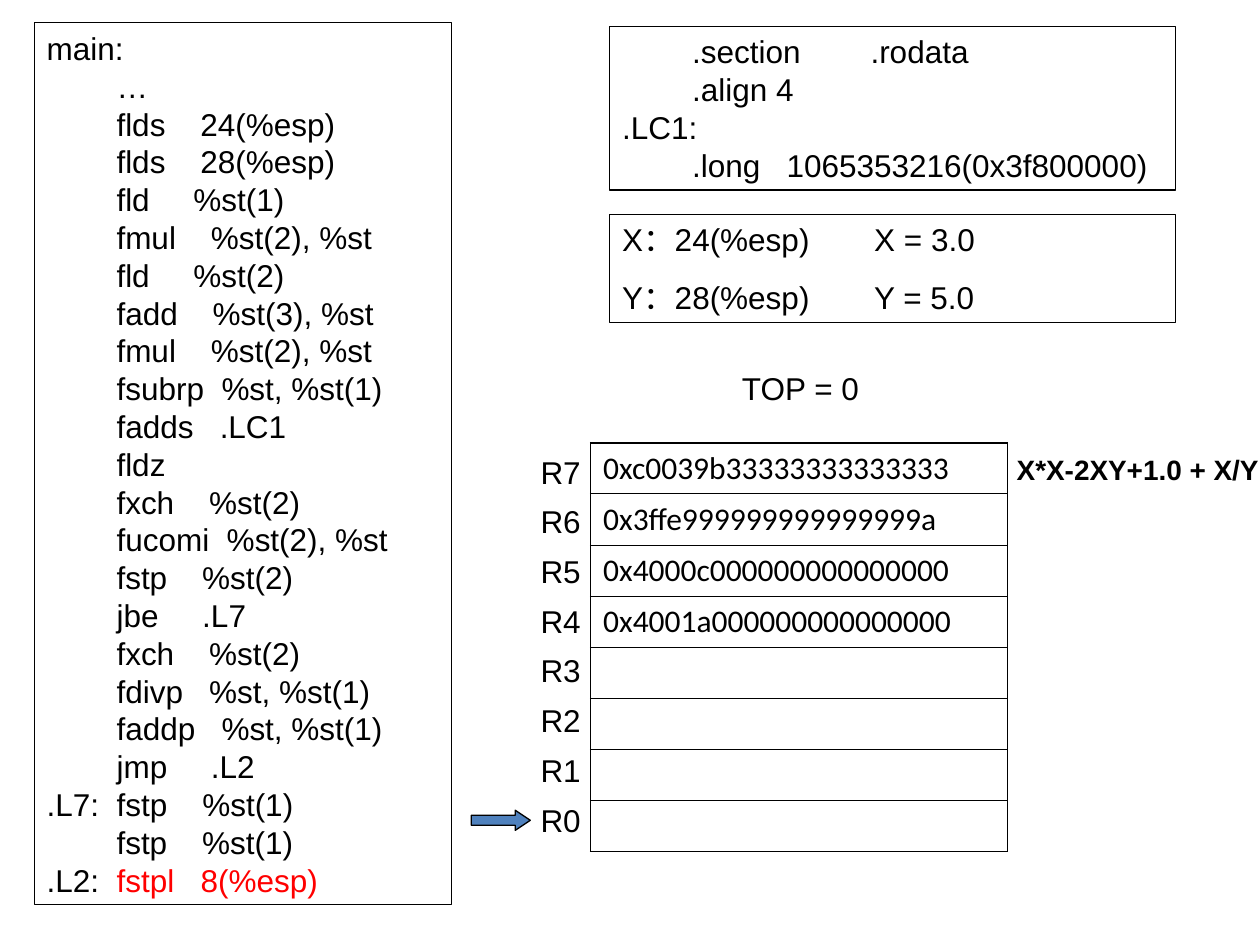
from dataclasses import dataclass

from lxml.etree import SubElement
from pptx import Presentation
from pptx.dml.color import RGBColor
from pptx.enum.shapes import MSO_SHAPE as Shape
from pptx.enum.text import MSO_ANCHOR as Anchor, PP_ALIGN as Align
from pptx.oxml.ns import qn
from pptx.util import Pt


@dataclass(frozen=True)
class Theme:
    ink: RGBColor = RGBColor(0x00, 0x00, 0x00)
    highlight: RGBColor = RGBColor(0xFF, 0x00, 0x00)
    arrow: RGBColor = RGBColor(0x4F, 0x81, 0xBD)
    font: str = "Arial"
    value_font: str = "Calibri"
    body: float = 18
    note: float = 16
    line_ratio: float = 1.2
    outline: float = 0.75
    outer_border: float = 1.08
    inner_border: float = 0.45


@dataclass(frozen=True)
class Panel:
    left: float
    top: float
    width: float
    height: float
    text: str
    highlight: str = ""
    gap: float = 0
    tab: float = 0


@dataclass(frozen=True)
class Label:
    left: float
    top: float
    width: float
    height: float
    text: str
    size: float = 18
    bold: bool = False
    inset: tuple = (0, 0)


THEME = Theme()

PROGRAM = """main:
        …
        flds    24(%esp)
        flds    28(%esp)
        fld     %st(1)
        fmul    %st(2), %st
        fld     %st(2)
        fadd    %st(3), %st
        fmul    %st(2), %st
        fsubrp  %st, %st(1)
        fadds   .LC1
        fldz
        fxch    %st(2)
        fucomi  %st(2), %st
        fstp    %st(2)
        jbe     .L7
        fxch    %st(2)
        fdivp   %st, %st(1)
        faddp   %st, %st(1)
        jmp     .L2
.L7:  fstp    %st(1)
        fstp    %st(1)
.L2:  fstpl   8(%esp)"""

CONSTANTS = """        .section        .rodata
        .align 4
.LC1:
        .long   1065353216(0x3f800000)"""

VARIABLES = "X：24(%esp)\tX = 3.0\nY：28(%esp)\tY = 5.0"

PANELS = [
    Panel(19.6, 13, 238.4, 504, PROGRAM, highlight="fstpl   8(%esp)"),
    Panel(348.5, 15, 323.2, 93.6, CONSTANTS),
    Panel(348.5, 122.4, 323.2, 62, VARIABLES, gap=11.2, tab=144),
]

# Stack registers from R7 down to R0
REGISTERS = [
    "0xc0039b33333333333333",
    "0x3ffe999999999999999a",
    "0x4000c000000000000000",
    "0x4001a000000000000000",
    "", "", "", "",
]
STACK_LEFT, STACK_TOP, STACK_WIDTH, ROW_HEIGHT = 337.5, 253, 238.3, 29
LABEL_LEFT, LABEL_TOP, LABEL_PITCH = 308.9, 258.7, 28.4


def style_font(font, size: float, name: str = THEME.font,
               color: RGBColor = THEME.ink, bold: bool = False) -> None:
    font.size, font.name, font.bold = Pt(size), name, bold
    font.color.rgb = color


def set_insets(frame, horizontal: float, vertical: float) -> None:
    frame.margin_left = frame.margin_right = Pt(horizontal)
    frame.margin_top = frame.margin_bottom = Pt(vertical)


def add_tab_stop(para, position: float) -> None:
    tabs = SubElement(para._p.get_or_add_pPr(), qn("a:tabLst"))
    SubElement(tabs, qn("a:tab"), pos=str(Pt(position)), algn="l")


def draw_panel(page, panel: Panel) -> None:
    box = page.shapes.add_shape(Shape.RECTANGLE, Pt(panel.left), Pt(panel.top),
                                Pt(panel.width), Pt(panel.height))
    box.shadow.inherit = False
    box.fill.background()
    box.line.color.rgb = THEME.ink
    box.line.width = Pt(THEME.outline)
    frame = box.text_frame
    frame.word_wrap = True
    frame.vertical_anchor = Anchor.TOP
    set_insets(frame, 7.2, 3.6)
    for index, line in enumerate(panel.text.split("\n")):
        para = frame.paragraphs[0] if index == 0 else frame.add_paragraph()
        marked = bool(panel.highlight) and line.endswith(panel.highlight)
        para.text = line.removesuffix(panel.highlight) if marked else line
        if panel.tab:
            add_tab_stop(para, panel.tab)
        para.alignment = Align.LEFT
        para.line_spacing = Pt(THEME.body * THEME.line_ratio)
        if index and panel.gap:
            para.space_before = Pt(panel.gap)
        for span in para.runs:
            style_font(span.font, THEME.body)
        if marked:
            span = para.add_run()
            span.text = panel.highlight
            style_font(span.font, THEME.body, color=THEME.highlight)


def draw_label(page, label: Label) -> None:
    box = page.shapes.add_textbox(Pt(label.left), Pt(label.top),
                                  Pt(label.width), Pt(label.height))
    frame = box.text_frame
    frame.word_wrap = False
    set_insets(frame, *label.inset)
    frame.text = label.text
    para = frame.paragraphs[0]
    para.line_spacing = Pt(label.size * THEME.line_ratio)
    style_font(para.runs[0].font, label.size, bold=label.bold)


def add_border(cell, side: str, width: float) -> None:
    line = SubElement(cell._tc.get_or_add_tcPr(), qn(f"a:{side}"), w=str(Pt(width)))
    fill = SubElement(line, qn("a:solidFill"))
    SubElement(fill, qn("a:srgbClr"), val=str(THEME.ink))


def draw_stack(page) -> None:
    count = len(REGISTERS)
    table = page.shapes.add_table(count, 1, Pt(STACK_LEFT), Pt(STACK_TOP),
                                  Pt(STACK_WIDTH), Pt(ROW_HEIGHT * count)).table
    table.first_row = table.horz_banding = False
    for index, value in enumerate(REGISTERS):
        table.rows[index].height = Pt(ROW_HEIGHT)
        cell = table.cell(index, 0)
        set_insets(cell, 7.2, 3.6)
        cell.text = value
        para = cell.text_frame.paragraphs[0]
        style_font(para.font, THEME.body, THEME.value_font)
        for span in para.runs:
            style_font(span.font, THEME.body, THEME.value_font)
        outer, inner = THEME.outer_border, THEME.inner_border
        add_border(cell, "lnL", outer)
        add_border(cell, "lnR", outer)
        add_border(cell, "lnT", outer if index == 0 else inner)
        add_border(cell, "lnB", outer if index == count - 1 else inner)
        cell.fill.background()


def draw_pointer(page) -> None:
    arrow = page.shapes.add_shape(Shape.RIGHT_ARROW, Pt(269.3), Pt(463),
                                  Pt(33.8), Pt(11.5))
    arrow.adjustments[0], arrow.adjustments[1] = 0.5, 0.75
    arrow.shadow.inherit = False
    arrow.fill.solid()
    arrow.fill.fore_color.rgb = THEME.arrow
    arrow.line.color.rgb = THEME.ink
    arrow.line.width = Pt(THEME.outline)


def main() -> None:
    deck = Presentation()
    deck.slide_width, deck.slide_height = Pt(720), Pt(540)
    page = deck.slides.add_slide(deck.slide_layouts[6])

    # Code listing, constants and variables
    for panel in PANELS:
        draw_panel(page, panel)

    # Register stack with its names
    draw_stack(page)
    for index in range(len(REGISTERS)):
        name = f"R{len(REGISTERS) - 1 - index}"
        draw_label(page, Label(LABEL_LEFT, LABEL_TOP + index * LABEL_PITCH,
                               28, 21.6, name))

    # Stack top, pointer and the expression held in R7
    draw_label(page, Label(416.9, 207.4, 85, 28.8, "TOP = 0", inset=(7.2, 3.6)))
    draw_pointer(page)
    draw_label(page, Label(581, 258.7, 139, 19.2, "X*X-2XY+1.0 + X/Y",
                           size=THEME.note, bold=True))

    deck.save("out.pptx")


if __name__ == "__main__":
    main()
